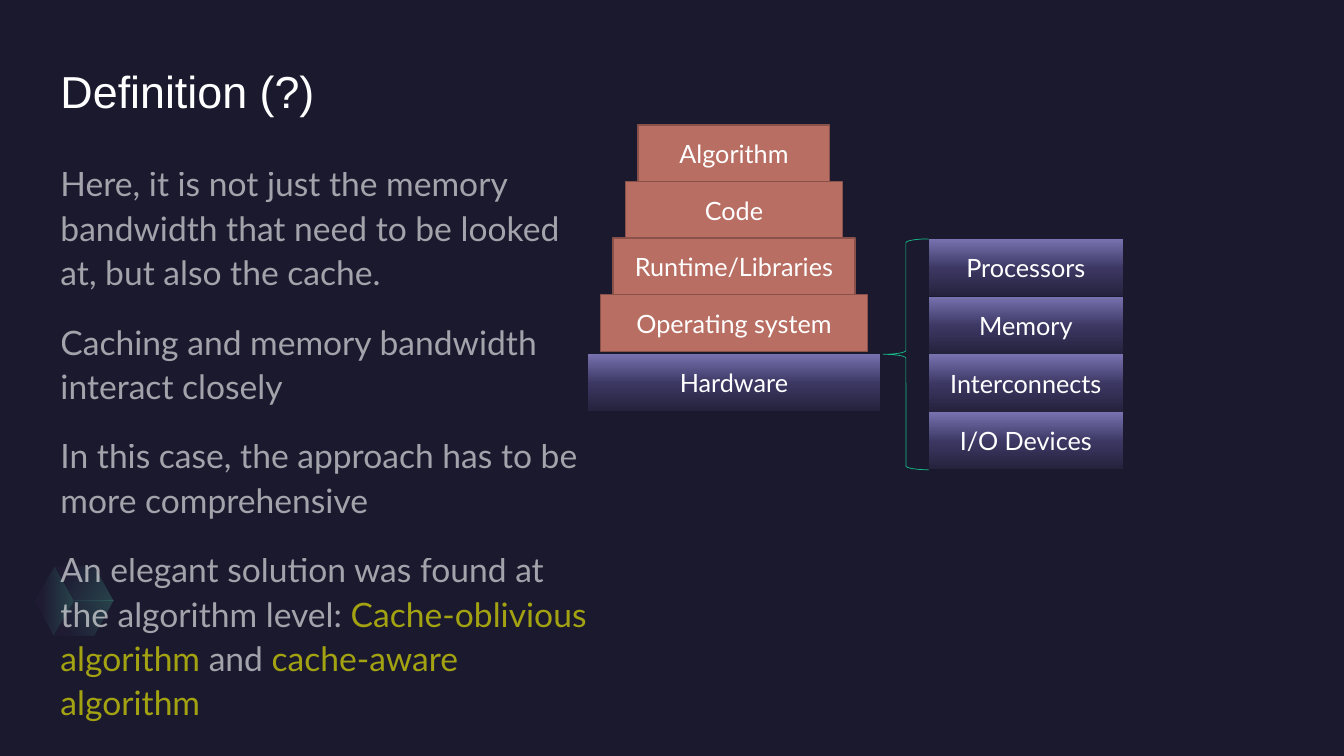
"""Build the "Definition (?)" slide: text beside a software and hardware stack."""
from dataclasses import dataclass
from typing import NamedTuple, Optional

from pptx import Presentation
from pptx.dml.color import RGBColor
from pptx.enum.shapes import MSO_SHAPE
from pptx.enum.text import MSO_ANCHOR, PP_ALIGN
from pptx.oxml import parse_xml
from pptx.oxml.ns import nsdecls, qn
from pptx.util import Inches, Pt

COLORS = {
    "background": "1B192E",
    "text": "FFFFFF",
    "accent": "FFFF00",
    "software": "B86E62",
    "software_edge": "885149",
    "brace": "13BE89",
    "dark": "25223D",
    "middle": "3B3762",
    "light": "7872B0",
    "cube_dark": "2C284A",
    "cube_light": "5BEFC1",
}
PARAGRAPH_FORMAT = {"line_spacing": 1.1, "space_before": Pt(10), "space_after": Pt(8)}
FRAME_FORMAT = {"word_wrap": True, "margin_left": 0, "margin_top": 0,
                "margin_right": 0, "margin_bottom": 0}
LABEL_FORMAT = {"name": "Lato", "size": Pt(18)}
BODY_FORMAT = {"name": "Lato", "size": Pt(24)}
TITLE_FORMAT = {"name": "Arial", "size": Pt(32)}
BAR_HEIGHT = 0.57


class Stop(NamedTuple):
    position: int
    color: str
    alpha: int = 100


class Run(NamedTuple):
    text: str
    color: str = "text"
    alpha: int = 60


@dataclass
class Bar:
    label: str
    left: float
    top: float
    width: float
    hardware: bool = False


@dataclass
class Face:
    points: list
    angle: int


BAR_STOPS = [Stop(0, "dark"), Stop(48, "middle"), Stop(100, "light")]
CUBE_STOPS = [Stop(20, "cube_dark", 20), Stop(100, "cube_light", 20)]
FACES = [
    Face([(0.93, 5.62), (0.54, 5.62), (0.73, 5.96), (1.12, 5.96)], 30),
    Face([(0.53, 6.3), (0.34, 5.96), (0.54, 5.62), (0.73, 5.96)], 0),
    Face([(1.12, 5.96), (0.93, 6.3), (0.53, 6.3), (0.73, 5.96)], 330),
]
SOFTWARE = ["Algorithm", "Code", "Runtime/Libraries", "Operating system"]
COMPONENTS = ["Processors", "Memory", "Interconnects", "I/O Devices"]
BARS = [
    *(Bar(label, 6.33 - i / 8, 1.24 + 0.56 * i, 1.9 + i / 4)
      for i, label in enumerate(SOFTWARE)),
    Bar("Hardware", 5.83, 3.51, 2.9, True),
    *(Bar(label, 9.21, 2.37 + 2.29 / 4 * i, 1.93, True)
      for i, label in enumerate(COMPONENTS)),
]
TITLE = [[Run("Definition (?)", alpha=100)]]
BODY = [
    [Run("Here, it is not just the memory bandwidth that need to be looked at, "
         "but also the cache.")],
    [Run("Caching and memory bandwidth interact closely")],
    [Run("In this case, the approach has to be more comprehensive")],
    [Run("An elegant solution was found at the algorithm level: "),
     Run("Cache-oblivious algorithm ", "accent"), Run("and "),
     Run("cache-aware algorithm", "accent")],
]


def rgb(name: str) -> RGBColor:
    return RGBColor.from_string(COLORS[name])


def apply(target, values: dict) -> None:
    for name, value in values.items():
        setattr(target, name, value)


def set_gradient(sp, stops: list, angle: int) -> None:
    stop_xml = "".join(
        f'<a:gs pos="{s.position * 1000}"><a:srgbClr val="{COLORS[s.color]}">'
        f'<a:alpha val="{s.alpha * 1000}"/></a:srgbClr></a:gs>' for s in stops)
    gradient = parse_xml(
        f'<a:gradFill {nsdecls("a")} rotWithShape="1"><a:gsLst>{stop_xml}</a:gsLst>'
        f'<a:lin ang="{angle * 60000}" scaled="0"/></a:gradFill>')
    sp.fill.background()
    properties = sp._element.spPr
    properties.replace(properties.find(qn("a:noFill")), gradient)


def set_line(sp, color: Optional[str], width: float = 1) -> None:
    sp.shadow.inherit = False
    if color is None:
        sp.line.fill.background()
    else:
        sp.line.color.rgb = rgb(color)
        sp.line.width = Pt(width)


def add_run(p, run: Run, font: dict) -> None:
    r = p.add_run()
    r.text = run.text
    apply(r.font, font)
    r.font.color.rgb = rgb(run.color)
    if run.alpha < 100:
        color = r._r.rPr.find(".//" + qn("a:srgbClr"))
        color.append(parse_xml(f'<a:alpha {nsdecls("a")} val="{run.alpha * 1000}"/>'))


def add_face(s, face: Face) -> None:
    points = [(Inches(x), Inches(y)) for x, y in face.points]
    builder = s.shapes.build_freeform(*points[0])
    builder.add_line_segments(points[1:], close=True)
    sp = builder.convert_to_shape()
    set_gradient(sp, CUBE_STOPS, face.angle)
    set_line(sp, None)


def add_bar(s, bar: Bar) -> None:
    sp = s.shapes.add_shape(MSO_SHAPE.RECTANGLE, Inches(bar.left), Inches(bar.top),
                            Inches(bar.width), Inches(BAR_HEIGHT))
    if bar.hardware:
        set_gradient(sp, BAR_STOPS, 270)
        set_line(sp, None)
    else:
        sp.fill.solid()
        sp.fill.fore_color.rgb = rgb("software")
        set_line(sp, "software_edge")
    tf = sp.text_frame
    tf.vertical_anchor = MSO_ANCHOR.MIDDLE
    p = tf.paragraphs[0]
    p.alignment = PP_ALIGN.CENTER
    add_run(p, Run(bar.label, alpha=100), LABEL_FORMAT)


def add_brace(s) -> None:
    sp = s.shapes.add_shape(MSO_SHAPE.LEFT_BRACE, Inches(8.76), Inches(2.37),
                            Inches(0.45), Inches(2.29))
    sp.fill.background()
    set_line(sp, "brace", 0.5)


def add_text(s, box: tuple, paragraphs: list, font: dict, spacing: dict) -> None:
    tf = s.shapes.add_textbox(*map(Inches, box)).text_frame
    apply(tf, FRAME_FORMAT)
    for i, runs in enumerate(paragraphs):
        p = tf.add_paragraph() if i else tf.paragraphs[0]
        apply(p, spacing)
        if i == 0:
            p.space_before = Pt(0)
        for run in runs:
            add_run(p, run, font)


def main() -> None:
    prs = Presentation()
    prs.slide_width, prs.slide_height = Inches(13.33), Inches(7.5)
    s = prs.slides.add_slide(prs.slide_layouts[6])
    s.background.fill.solid()
    s.background.fill.fore_color.rgb = rgb("background")
    for face in FACES:
        add_face(s, face)
    add_text(s, (0.6, 0.63, 4.92, 1.08), TITLE, TITLE_FORMAT, {})
    for bar in BARS:
        add_bar(s, bar)
    add_brace(s)
    add_text(s, (0.6, 1.58, 5.35, 5.32), BODY, BODY_FORMAT, PARAGRAPH_FORMAT)
    prs.save("out.pptx")


if __name__ == "__main__":
    main()
